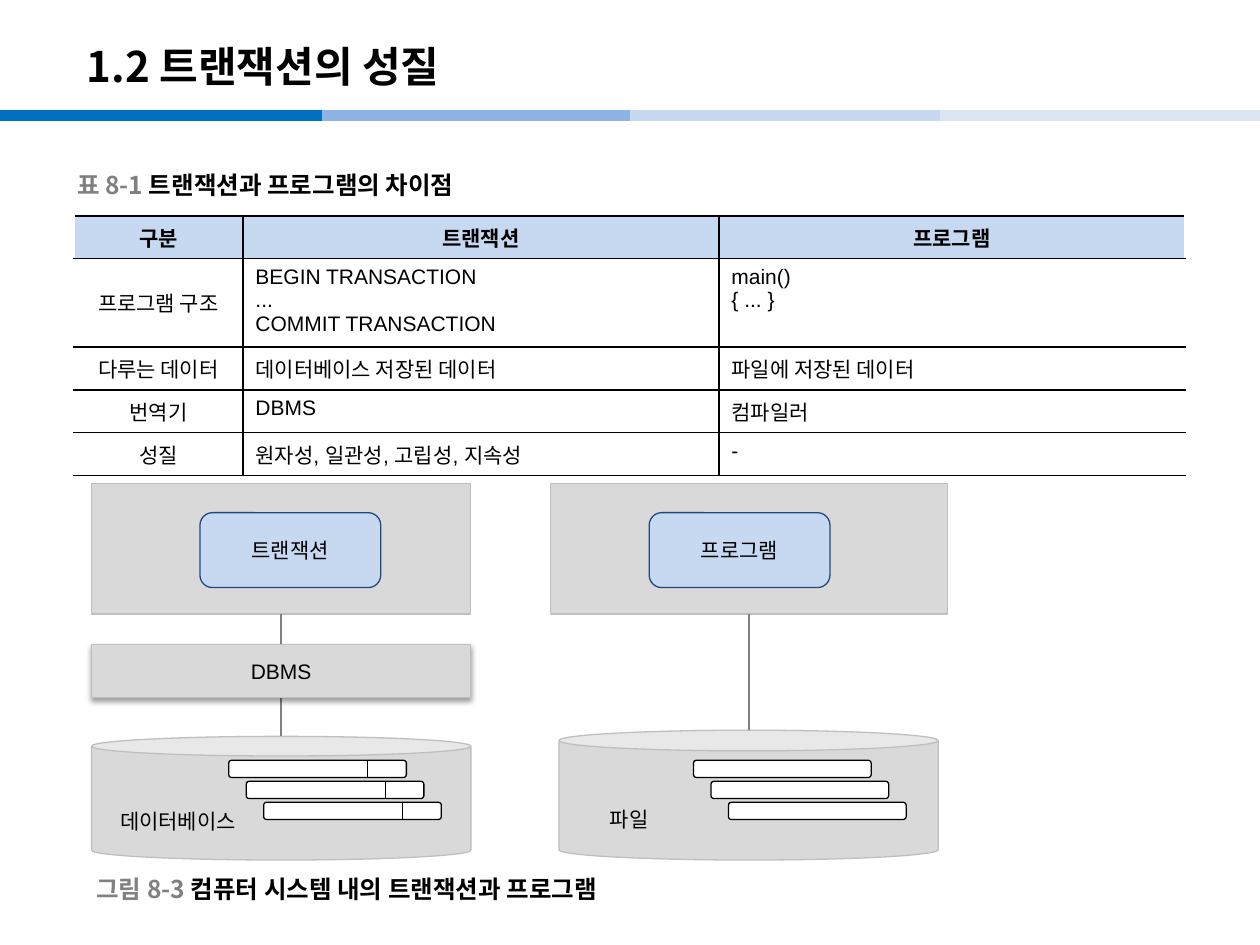
from lxml.etree import SubElement
from pptx import Presentation
from pptx.dml.color import RGBColor
from pptx.enum.shapes import MSO_CONNECTOR, MSO_SHAPE
from pptx.enum.text import MSO_ANCHOR, MSO_AUTO_SIZE, PP_ALIGN
from pptx.oxml import parse_xml
from pptx.oxml.ns import nsdecls, qn
from pptx.util import Pt

BLACK = RGBColor(0x00, 0x00, 0x00)
WHITE = RGBColor(0xFF, 0xFF, 0xFF)
GRAY = RGBColor(0x80, 0x80, 0x80)
PANEL = RGBColor(0xD9, 0xD9, 0xD9)
PANEL_LINE = RGBColor(0xBF, 0xBF, 0xBF)
LIGHT_BLUE = RGBColor(0xC6, 0xD9, 0xF1)
NAVY = RGBColor(0x1F, 0x49, 0x7D)
BAND_COLORS = (RGBColor(0x00, 0x70, 0xC0), RGBColor(0x8E, 0xB4, 0xE3),
               LIGHT_BLUE, RGBColor(0xDC, 0xE6, 0xF2))

TABLE_ROWS = (
    ("구분", "트랜잭션", "프로그램"),
    ("프로그램 구조", "BEGIN TRANSACTION\n...\nCOMMIT TRANSACTION", "main()\n{ ... }"),
    ("다루는 데이터", "데이터베이스 저장된 데이터", "파일에 저장된 데이터"),
    ("번역기", "DBMS", "컴파일러"),
    ("성질", "원자성, 일관성, 고립성, 지속성", "-"),
)


class SlideBuilder:
    body_font = "Arial"
    korean_font = "Noto Sans CJK KR"

    def __init__(self, slide):
        self.slide = slide

    def format_run(self, run, size=12, color=BLACK, bold=False, font_name=body_font):
        run.font.size = Pt(size)
        run.font.bold = bold
        run.font.color.rgb = color
        run.font.name = font_name
        east_asian = SubElement(run.font._element, qn("a:ea"))
        east_asian.set("typeface", self.korean_font)

    def format_text(self, text_frame, alignment, **style):
        for paragraph in text_frame.paragraphs:
            paragraph.alignment = alignment
            for run in paragraph.runs:
                self.format_run(run, **style)

    def heading(self, left, top, width, height, parts, size, wrap=False):
        """Add one bold line made of (text, color) parts."""
        box = self.slide.shapes.add_textbox(Pt(left), Pt(top), Pt(width), Pt(height))
        text_frame = box.text_frame
        text_frame.word_wrap = wrap
        text_frame.vertical_anchor = MSO_ANCHOR.MIDDLE
        for text, color in parts:
            run = text_frame.paragraphs[0].add_run()
            run.text = text
            self.format_run(run, size, color, True, self.korean_font)

    def label(self, left, top, width, height, text):
        box = self.slide.shapes.add_textbox(Pt(left), Pt(top), Pt(width), Pt(height))
        box.text_frame.word_wrap = True
        box.text_frame.auto_size = MSO_AUTO_SIZE.SHAPE_TO_FIT_TEXT
        box.text_frame.text = text
        self.format_text(box.text_frame, PP_ALIGN.CENTER)

    def shape(self, kind, left, top, width, height, fill=PANEL, line=PANEL_LINE,
              text="", adjustment=None):
        shape = self.slide.shapes.add_shape(kind, Pt(left), Pt(top), Pt(width), Pt(height))
        shape.shadow.inherit = False
        shape.fill.solid()
        shape.fill.fore_color.rgb = fill
        shape.line.color.rgb = line
        shape.line.width = Pt(0.75)
        if adjustment is not None:
            shape.adjustments[0] = adjustment
        if text:
            shape.text_frame.text = text
            shape.text_frame.vertical_anchor = MSO_ANCHOR.MIDDLE
            self.format_text(shape.text_frame, PP_ALIGN.CENTER)
        return shape

    def drop_shadow(self, shape):
        effects = shape._element.spPr.find(qn("a:effectLst"))
        effects.append(parse_xml(
            f'<a:outerShdw {nsdecls("a")} blurRad="{Pt(3.1)}" dist="{Pt(1.6)}" dir="5400000" '
            'rotWithShape="0"><a:srgbClr val="000000"><a:alpha val="38000"/></a:srgbClr>'
            '</a:outerShdw>'))

    def line(self, start_x, start_y, end_x, end_y, color=BLACK, width=0.75):
        connector = self.slide.shapes.add_connector(
            MSO_CONNECTOR.STRAIGHT, Pt(start_x), Pt(start_y), Pt(end_x), Pt(end_y))
        connector.line.color.rgb = color
        connector.line.width = Pt(width)
        SubElement(connector._element.spPr, qn("a:effectLst"))
        return connector

    def records(self, left, top, divider=None):
        """Add three staggered record bars, each split at the divider offset if given."""
        for index in range(3):
            x, y = left + 10 * index, top + 12 * index
            self.shape(MSO_SHAPE.ROUNDED_RECTANGLE, x, y, 101.5, 9.8, WHITE, BLACK)
            if divider:
                self.line(x + divider, y, x + divider, y + 9.8)

    def cell_borders(self, cell, sides):
        properties = cell._tc.get_or_add_tcPr()
        for index, side in enumerate(sides):
            properties.insert(index, parse_xml(
                f'<a:ln{side} {nsdecls("a")} w="{Pt(1)}"><a:solidFill>'
                f'<a:srgbClr val="{BLACK}"/></a:solidFill></a:ln{side}>'))

    def table(self, left, top, column_widths, row_heights, rows):
        table = self.slide.shapes.add_table(
            len(rows), len(column_widths), Pt(left), Pt(top),
            Pt(sum(column_widths)), Pt(sum(row_heights))).table
        table.first_row = table.horz_banding = False
        for column, width in zip(table.columns, column_widths):
            column.width = Pt(width)
        for row_index, (texts, height) in enumerate(zip(rows, row_heights)):
            table.rows[row_index].height = Pt(height)
            header = row_index == 0
            for column_index, text in enumerate(texts):
                cell = table.cell(row_index, column_index)
                cell.text_frame.text = text
                centered = header or column_index == 0
                cell.vertical_anchor = MSO_ANCHOR.MIDDLE if centered else MSO_ANCHOR.TOP
                self.format_text(cell.text_frame,
                                 PP_ALIGN.CENTER if centered else PP_ALIGN.LEFT, bold=header)
                cell.fill.solid()
                cell.fill.fore_color.rgb = LIGHT_BLUE if header else WHITE
                self.cell_borders(cell, ("RTB", "LRTB", "LTB")[column_index])


def draw_system(builder, panel_left, panel_width, node_left, node_text, can_left, can_top):
    """Add a panel with its node, a storage cylinder and the line between them."""
    panel = builder.shape(MSO_SHAPE.RECTANGLE, panel_left, 276.5, panel_width, 74.5)
    builder.shape(MSO_SHAPE.ROUNDED_RECTANGLE, node_left, 293, 103.3, 42.8,
                  LIGHT_BLUE, NAVY, node_text)
    builder.shape(MSO_SHAPE.CAN, can_left, can_top, 216.8, 491.5 - can_top, adjustment=0.159)
    middle = panel_left + panel_width / 2
    connector = builder.line(middle, 351, middle, can_top, GRAY, 1)
    connector.begin_connect(panel, 2)


def main():
    presentation = Presentation()
    presentation.slide_width = Pt(720)
    presentation.slide_height = Pt(540)
    builder = SlideBuilder(presentation.slides.add_slide(presentation.slide_layouts[6]))

    for start, color in zip((0, 184.3, 360, 537), BAND_COLORS):
        builder.line(start, 66, start + 184.3, 66, color, 6)
    builder.heading(42.5, 16, 595.5, 43, [("1.2 트랜잭션의 성질", BLACK)], 24, wrap=True)

    builder.heading(37, 94.5, 238, 22,
                    [("표 8-1 ", GRAY), ("트랜잭션과 프로그램의 차이점", BLACK)], 14)
    builder.table(42.3, 123.3, (96.5, 272, 266.5), (24.5, 48, 24.5, 24.5, 24.5), TABLE_ROWS)

    draw_system(builder, 52.3, 216.8, 114.3, "트랜잭션", 52.3, 420.8)
    dbms = builder.shape(MSO_SHAPE.RECTANGLE, 52.3, 368.3, 216.8, 30.4, text="DBMS")
    builder.drop_shadow(dbms)
    builder.records(130.7, 434.5, divider=79.5)
    builder.label(36, 458.5, 131.5, 21.8, "데이터베이스")

    draw_system(builder, 314.5, 227, 371, "프로그램", 319.4, 417.3)
    builder.records(396.3, 434.5)
    builder.label(330, 457.5, 59, 21.8, "파일")

    builder.heading(48, 497, 310, 22,
                    [("그림 8-3 ", GRAY), ("컴퓨터 시스템 내의 트랜잭션과 프로그램", BLACK)], 14)
    presentation.save("out.pptx")


if __name__ == "__main__":
    main()
